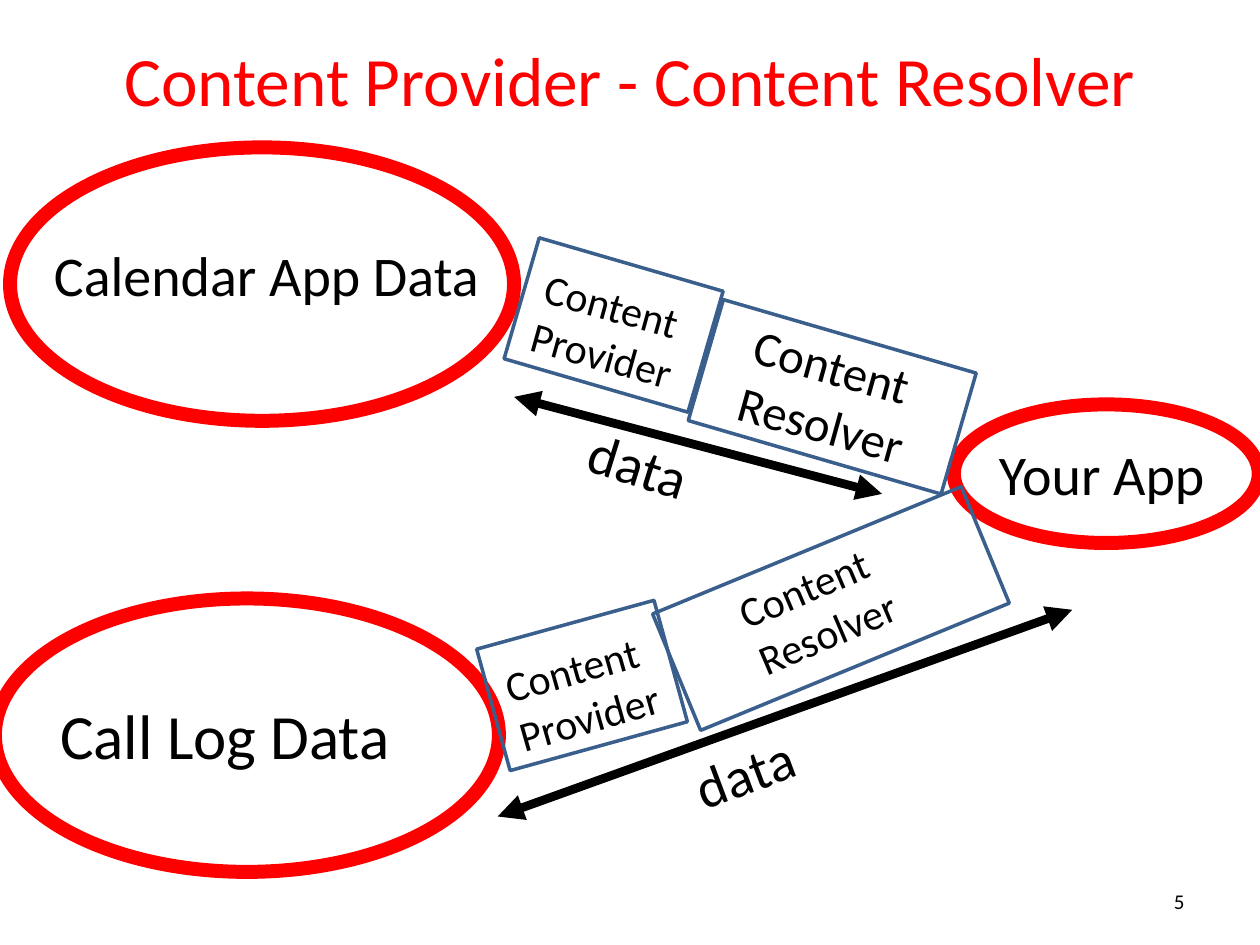
from lxml.etree import SubElement
from pptx import Presentation
from pptx.dml.color import RGBColor
from pptx.enum.shapes import MSO_CONNECTOR, MSO_SHAPE
from pptx.enum.text import MSO_ANCHOR, PP_ALIGN
from pptx.oxml.ns import qn
from pptx.util import Pt

PX = 9144  # EMU per px, 100 px to the inch
RED = RGBColor(0xFF, 0x00, 0x00)
BLUE = RGBColor(0x3A, 0x5F, 0x8C)
BLACK = RGBColor(0x00, 0x00, 0x00)

prs = Presentation()
prs.slide_width, prs.slide_height = 1000 * PX, 750 * PX
s = prs.slides.add_slide(prs.slide_layouts[6])


def add_outline(kind, box, color, width, rotation=0):
    sp = s.shapes.add_shape(kind, *[v * PX for v in box])
    sp.rotation = rotation
    sp.shadow.inherit = False
    sp.fill.background()
    sp.line.color.rgb = color
    sp.line.width = Pt(width)


def add_text(lines, box, size, rotation=0, color=BLACK, align=PP_ALIGN.LEFT,
             anchor=MSO_ANCHOR.TOP, wrap=False):
    """Add a text box whose lines share one paragraph."""
    sp = s.shapes.add_textbox(*[v * PX for v in box])
    sp.rotation = rotation
    tf = sp.text_frame
    tf.word_wrap = wrap
    tf.vertical_anchor = anchor
    p = tf.paragraphs[0]
    p.alignment = align
    for i, line in enumerate(lines):
        if i:
            p.add_line_break()
        r = p.add_run()
        r.text = line
        r.font.name = "Calibri"
        r.font.size = Pt(size)
        r.font.color.rgb = color


add_text(["Content Provider - Content Resolver"], (50, 0, 900, 125), 39.6,
         color=RED, align=PP_ALIGN.CENTER, anchor=MSO_ANCHOR.MIDDLE, wrap=True)
add_text(["5"], (717, 695, 233, 40), 12,
         align=PP_ALIGN.RIGHT, anchor=MSO_ANCHOR.MIDDLE, wrap=True)

# Apps: ellipse, label, label box, label size
apps = [
    ((8, 117, 400, 217), "Calendar App Data", (33, 186, 361, 64), 32),
    ((-4, 475, 400, 217), "Call Log Data", (38, 548, 284, 71), 36),
    ((757, 321, 242, 110), "Your App", (783, 344, 185, 64), 32),
]
for ellipse, label, box, size in apps:
    add_outline(MSO_SHAPE.OVAL, ellipse, RED, 8)
    add_text([label], box, size)

# Components: rectangle, its rotation, second word, text box, its rotation, size, wrap
components = [
    ((411, 208, 152, 100), 16.2, "Provider", (416, 217, 136, 91), 15.5, 24, False),
    ((389, 494, 146, 100), 344.6, "Provider", (395, 504, 136, 91), 344, 24, False),
    ((556, 265, 209, 100), 16.2, "Resolver", (581, 262, 156, 104), 15.5, 28, False),
    ((527, 433, 265, 100), 337.6, "Resolver", (579, 428, 188, 91), 336.9, 24, True),
]
for rect, rect_rot, word, box, text_rot, size, wrap in components:
    add_outline(MSO_SHAPE.RECTANGLE, rect, BLUE, 2, rect_rot)
    add_text(["Content", word], box, size, text_rot, wrap=wrap)

# Data flows: arrow ends, label box, label rotation
flows = [
    ((408, 315, 700, 392), (457, 337, 101, 64), 17.3),
    ((395, 648, 851, 484), (541, 581, 101, 64), 339.5),
]
for ends, box, rotation in flows:
    arrow = s.shapes.add_connector(MSO_CONNECTOR.STRAIGHT, *[v * PX for v in ends])
    arrow.line.color.rgb = BLACK
    arrow.line.width = Pt(5)
    ln = arrow.line._get_or_add_ln()
    for end in ("a:headEnd", "a:tailEnd"):
        SubElement(ln, qn(end), type="triangle")
    SubElement(arrow._element.spPr, qn("a:effectLst"))
    add_text(["data"], box, 32, rotation)

prs.save("out.pptx")
